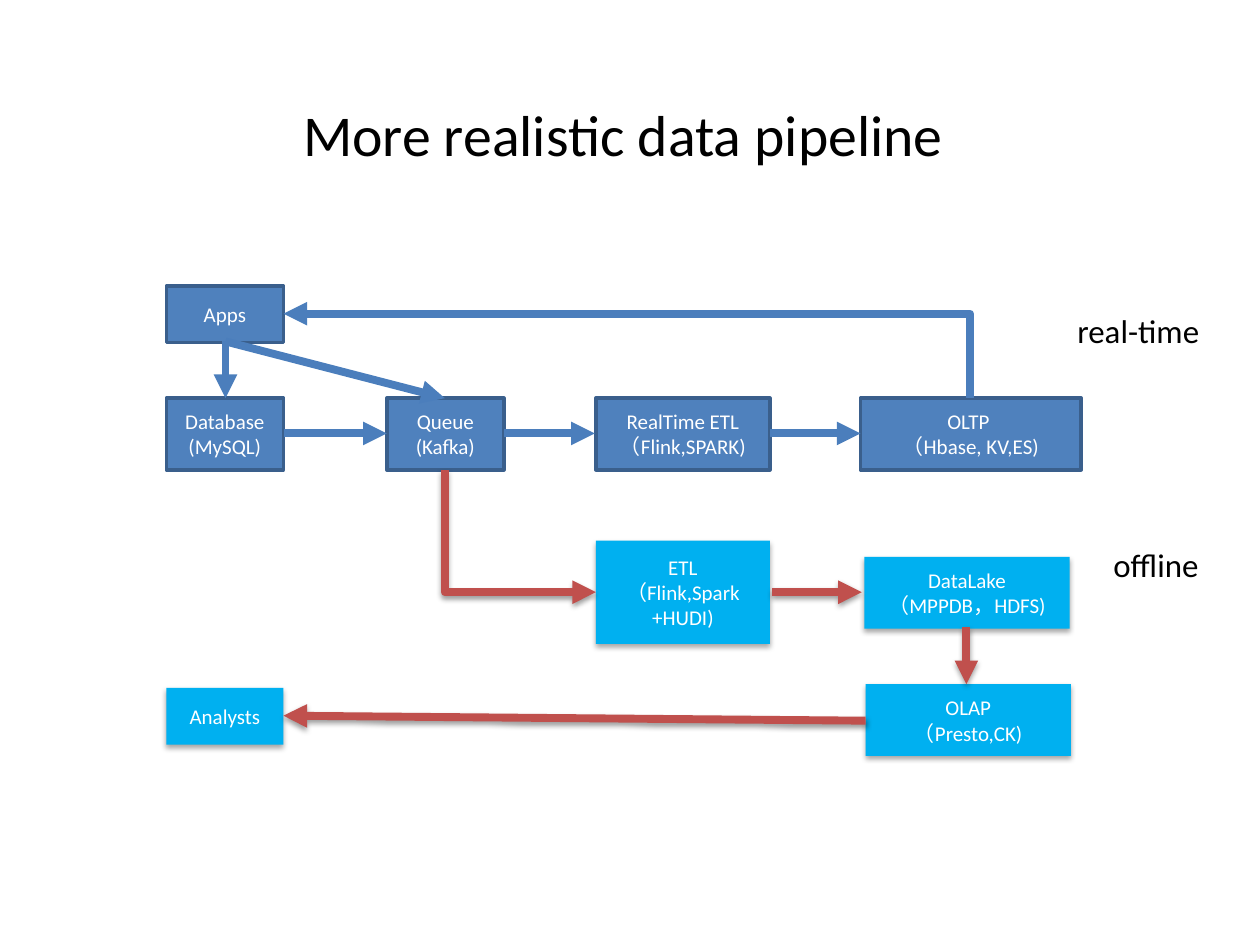
from lxml.etree import SubElement as Sub
from pptx import Presentation
from pptx.dml.color import RGBColor as RGB
from pptx.enum.shapes import MSO_CONNECTOR as Conn, MSO_SHAPE as Shape
from pptx.enum.text import MSO_ANCHOR as Anchor, PP_ALIGN as Align
from pptx.oxml.ns import qn
from pptx.util import Inches, Pt

FONT = "Calibri"
LIVE = {"fill": "4F81BD", "edge": "3A5F8C", "drop": 0}
BATCH = {"fill": "00B0F0", "edge": None, "drop": 23000}
FLOW = {"color": "4B7EBC", "drop": 0}
LOAD = {"color": "C0504D", "drop": 20000}
TALL, LOW, WIDE = 0.57, 0.45, 0.93
BOXES = [
    (1.32, 2.27, WIDE, LOW, ["Apps"], LIVE),
    (1.32, 3.16, WIDE, TALL, ["Database", "(MySQL)"], LIVE),
    (3.07, 3.16, WIDE, TALL, ["Queue", "(Kafka)"], LIVE),
    (4.73, 3.16, 1.38, TALL, ["RealTime ETL", "（Flink,SPARK)"], LIVE),
    (6.83, 3.16, 1.75, TALL, ["OLTP ", "（Hbase, KV,ES)"], LIVE),
    (4.73, 4.29, 1.38, 0.82, ["ETL", "（Flink,Spark", "+HUDI)"], BATCH),
    (6.86, 4.42, 1.63, TALL, ["DataLake", "（MPPDB，HDFS)"], BATCH),
    (6.87, 5.43, 1.63, TALL, ["OLAP", "（Presto,CK)"], BATCH),
    (1.32, 5.46, WIDE, LOW, ["Analysts"], BATCH),
]
LINES = [
    (1.79, 2.71, 1.79, 3.16, FLOW),
    (1.79, 2.71, 3.53, 3.16, FLOW),
    (2.25, 3.44, 3.07, 3.44, FLOW),
    (4, 3.44, 4.72, 3.44, FLOW),
    (6.11, 3.44, 6.83, 3.44, FLOW),
    (6.13, 4.7, 6.84, 4.7, LOAD),
    (7.67, 4.98, 7.67, 5.43, LOAD),
    (6.87, 5.72, 2.25, 5.68, LOAD),
]
BENDS = [
    (7.7, 3.16, 2.25, 2.49, FLOW),
    (3.53, 3.73, 4.73, 4.7, LOAD),
]
LABELS = [
    (0, 0.59, 9.89, 0.94, "More realistic data pipeline", 33),
    (8.35, 2.44, 1.37, 0.36, "real-time", 18.8),
    (8.49, 4.3, 1.37, 0.36, "offline", 18.8),
]


def tint(code):
    """Turn a hex string into a colour."""
    return RGB.from_string(code)


def style(item, **values):
    """Set each named value on an object."""
    for name, value in values.items():
        setattr(item, name, value)


def shade(shape, drop, alpha):
    """Set a soft shadow below a shape, or none when drop is zero."""
    group = Sub(shape._element.spPr, qn("a:effectLst"))
    if drop:
        cast = Sub(group, qn("a:outerShdw"), blurRad="40000", dist=str(drop),
                   dir="5400000", rotWithShape="0")
        color = Sub(cast, qn("a:srgbClr"), val="000000")
        Sub(color, qn("a:alpha"), val=str(alpha * 1000))


def write(shape, rows, size, color):
    """Write centred rows of text in a shape."""
    frame = shape.text_frame
    style(frame, text="\n".join(rows), word_wrap=True,
          vertical_anchor=Anchor.MIDDLE)
    for para in frame.paragraphs:
        para.alignment = Align.CENTER
        style(para.font, name=FONT, size=Pt(size))
        para.font.color.rgb = tint(color)


def box(slide, x, y, wide, high, rows, look):
    """Add one system of the pipeline."""
    shape = slide.shapes.add_shape(Shape.RECTANGLE, *map(Inches, (x, y, wide, high)))
    shape.fill.solid()
    shape.fill.fore_color.rgb = tint(look["fill"])
    if look["edge"]:
        shape.line.color.rgb = tint(look["edge"])
        shape.line.width = Pt(2)
    else:
        shape.line.fill.background()
    shade(shape, look["drop"], 35)
    write(shape, rows, 12, "FFFFFF")


def arrow(slide, x1, y1, x2, y2, look):
    """Add a straight arrow and return it."""
    line = slide.shapes.add_connector(Conn.STRAIGHT, *map(Inches, (x1, y1, x2, y2)))
    line.line.width = Pt(4.5)
    line.line.color.rgb = tint(look["color"])
    Sub(line.line._get_or_add_ln(), qn("a:tailEnd"), type="triangle")
    shade(line, look["drop"], 38)
    return line


def bend(slide, x1, y1, x2, y2, look):
    """Add an arrow that runs upright first and then level."""
    wide, high = abs(y2 - y1), abs(x2 - x1)
    x, y = (x1 + x2 - wide) / 2, (y1 + y2 - high) / 2
    line = arrow(slide, x, y, x + wide, y + high, look)
    props = line._element.spPr
    props.find(qn("a:prstGeom")).set("prst", "bentConnector2")
    frame = props.find(qn("a:xfrm"))
    frame.set("rot", str(270 * 60000))
    frame.set("flipV" if y2 < y1 else "flipH", "1")


def label(slide, x, y, wide, high, text, size):
    """Add a line of plain text."""
    shape = slide.shapes.add_textbox(*map(Inches, (x, y, wide, high)))
    edges = ("left", "top", "right", "bottom")
    style(shape.text_frame, **{f"margin_{edge}": Inches(0.02) for edge in edges})
    write(shape, [text], size, "000000")


def main():
    """Build the slide and save it."""
    deck = Presentation()
    style(deck, slide_width=Inches(10), slide_height=Inches(7.5))
    slide = deck.slides.add_slide(deck.slide_layouts[6])
    for draw, items in ((box, BOXES), (arrow, LINES), (bend, BENDS), (label, LABELS)):
        for item in items:
            draw(slide, *item)
    deck.save("out.pptx")


if __name__ == "__main__":
    main()
